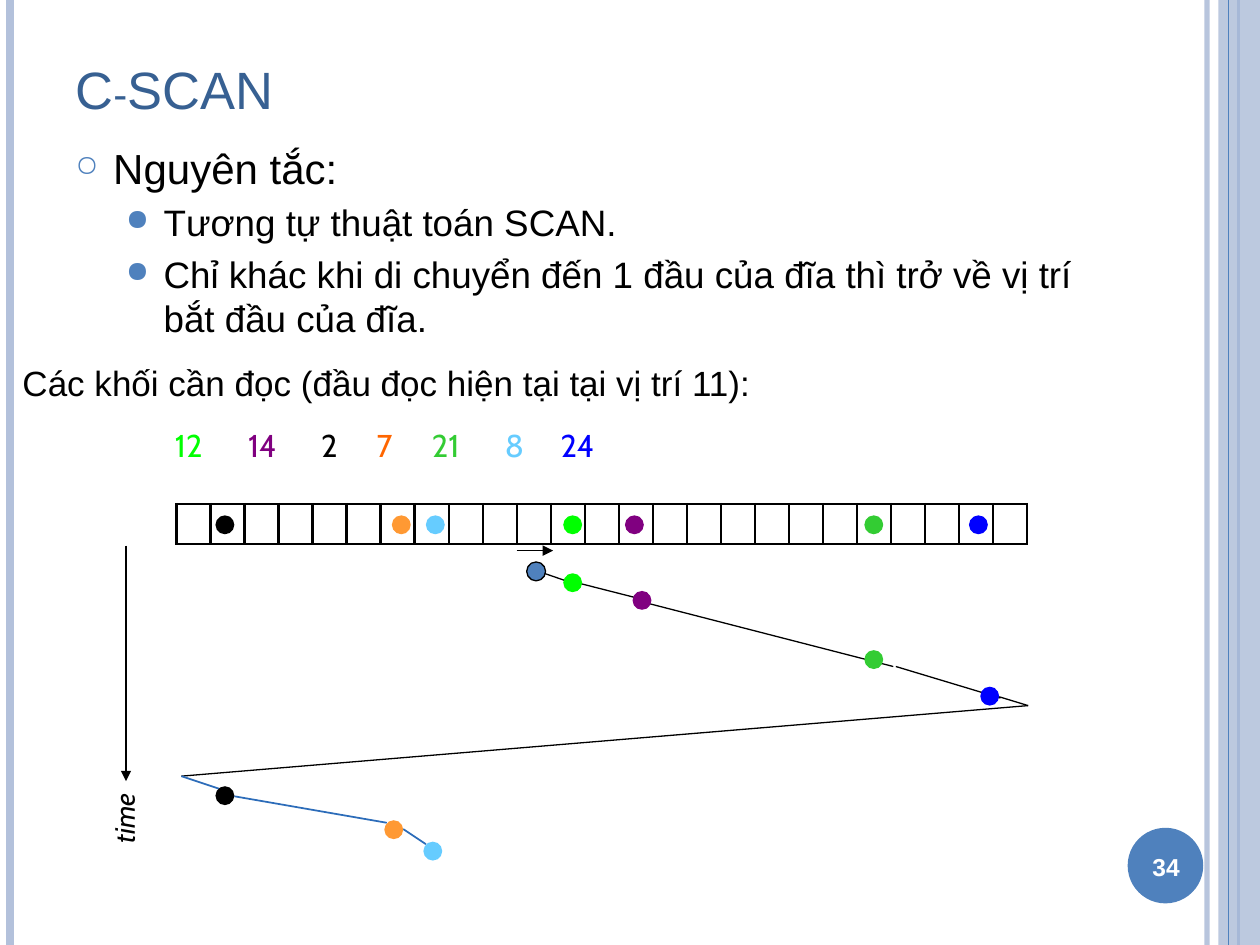
from dataclasses import dataclass

from pptx import Presentation
from pptx.dml.color import RGBColor
from pptx.enum.shapes import MSO_CONNECTOR, MSO_SHAPE
from pptx.enum.text import MSO_ANCHOR, MSO_AUTO_SIZE, PP_ALIGN
from pptx.oxml.ns import qn
from pptx.util import Inches, Pt
from lxml import etree

LINE = MSO_CONNECTOR.STRAIGHT
OVAL, RECT = MSO_SHAPE.OVAL, MSO_SHAPE.RECTANGLE
LEFT, CENTER = PP_ALIGN.LEFT, PP_ALIGN.CENTER
TOP, MIDDLE, BOTTOM = MSO_ANCHOR.TOP, MSO_ANCHOR.MIDDLE, MSO_ANCHOR.BOTTOM


@dataclass(frozen=True)
class Theme:
    sans: str = "Arial"
    label: str = "Cabin"
    title: int = 30
    head: int = 24
    sub: int = 21
    note: int = 20
    block: int = 18
    time: int = 16
    page: int = 14
    dot: float = 0.15
    ink: str = "000000"
    white: str = "FFFFFF"
    navy: str = "376092"
    accent: str = "4F81BD"
    pale: str = "B3C1DB"
    link: str = "2C6CB9"
    lime: str = "00FF00"
    purple: str = "800080"
    red: str = "FF6600"
    orange: str = "FF9933"
    green: str = "33CC33"
    sky: str = "66CCFF"
    blue: str = "0000FF"


def add(parent, tag, **attrs):
    return etree.SubElement(parent, qn(tag), attrs)


def fade(shape, percent):
    """Set the opacity of the first solid colour of a shape."""
    color = next(shape._element.spPr.iter(qn("a:srgbClr")))
    add(color, "a:alpha", val=str(percent * 1000))


class Board:
    """Draws elements on one slide in one style."""

    def __init__(self, slide, theme):
        self.slide, self.theme = slide, theme
        self.shapes = slide.shapes

    def run(self, para, text, size, color, face=None, **form):
        run = para.add_run()
        run.text = text
        form = {"size": Pt(size), "name": face or self.theme.sans, **form}
        for key, value in form.items():
            setattr(run.font, key, value)
        run.font.color.rgb = RGBColor.from_string(color)
        return run

    def title(self, text, box):
        shape = self.shapes.title
        for key, value in zip(("left", "top", "width", "height"), box):
            setattr(shape, key, Inches(value))
        frame = shape.text_frame
        frame.vertical_anchor = BOTTOM
        para = frame.paragraphs[0]
        para.alignment = LEFT
        run = self.run(para, text, self.theme.title, self.theme.navy)
        run.font._element.set("cap", "small")

    def frame(self, box, wrap=True, anchor=TOP, turn=0):
        shape = self.shapes.add_textbox(*map(Inches, box))
        shape.rotation = turn
        frame = shape.text_frame
        fit = MSO_AUTO_SIZE.NONE if wrap else MSO_AUTO_SIZE.SHAPE_TO_FIT_TEXT
        form = {"word_wrap": wrap, "vertical_anchor": anchor, "auto_size": fit}
        for key, value in form.items():
            setattr(frame, key, value)
        return frame

    def text(self, text, box, size, color, face=None, align=LEFT, wrap=False,
             anchor=TOP, turn=0, **form):
        para = self.frame(box, wrap, anchor, turn).paragraphs[0]
        para.alignment = align
        self.run(para, text, size, color, face, **form)

    def bullets(self, items, box):
        """Write (level, text) items as a bulleted list."""
        look = self.theme
        styles = [(look.head, 6, 0.3, "○", 70), (look.sub, 4.2, 0.7, "●", 80)]
        frame = self.frame(box)
        for i, (level, text) in enumerate(items):
            size, gap, indent, mark, scale = styles[level]
            para = frame.add_paragraph() if i else frame.paragraphs[0]
            para.level, para.space_before = level, Pt(gap)
            props = para._p.get_or_add_pPr()
            props.set("marL", str(Inches(indent)))
            props.set("indent", str(Inches(-0.3)))
            add(add(props, "a:buClr"), "a:srgbClr", val=look.accent)
            add(props, "a:buSzPct", val=str(scale * 1000))
            add(props, "a:buChar", char=mark)
            self.run(para, text, size, look.ink)

    def shape(self, kind, box, fill, edge=None):
        shape = self.shapes.add_shape(kind, *map(Inches, box))
        shape.shadow.inherit = False
        shape.fill.solid()
        shape.fill.fore_color.rgb = RGBColor.from_string(fill)
        if edge:
            shape.line.color.rgb = RGBColor.from_string(edge)
            shape.line.width = Pt(0.75)
        else:
            shape.line.fill.background()
        return shape

    def dot(self, x, y, fill, edge=None):
        size = self.theme.dot
        self.shape(OVAL, (x, y, size, size), fill, edge)

    def line(self, ends, color, width=0.75, arrow=False):
        line = self.shapes.add_connector(LINE, *map(Inches, ends))
        line.line.color.rgb = RGBColor.from_string(color)
        line.line.width = Pt(width)
        if arrow:
            add(line.line._get_or_add_ln(), "a:tailEnd", type="triangle")
        add(line._element.spPr, "a:effectLst")
        return line

    def strip(self, count, box):
        """Draw a one-row table of empty, bordered cells."""
        holder = self.shapes.add_table(1, count, *map(Inches, box))
        table = holder.table
        table.first_row = table.horz_banding = False
        for column in table.columns:
            column.width = Inches(box[2] / count)
        for cell in table.iter_cells():
            for side in ("left", "right", "top", "bottom"):
                setattr(cell, f"margin_{side}", 0)
            props = cell._tc.get_or_add_tcPr()
            for side in "LRTB":
                edge = add(props, f"a:ln{side}", w=str(Pt(1.5)))
                fill = add(edge, "a:solidFill")
                add(fill, "a:srgbClr", val=self.theme.ink)
            cell.fill.background()


def frame_page(board):
    look = board.theme
    for x, color, width in ((9.58, look.pale, 3), (0.08, look.pale, 4.5),
                            (9.83, look.accent, 1.5)):
        rule = board.line((x, 0, x, 7.5), color, width)
        if x == 9.58:
            fade(rule, 93)
    fade(board.shape(RECT, (9.67, 0, 0.33, 7.5), look.pale), 87)
    board.line((9.75, 0, 9.75, 7.5), look.accent)
    board.shape(OVAL, (8.95, 6.57, 0.6, 0.6), look.accent)
    board.text("34", (8.92, 6.59, 0.67, 0.57), look.page, look.white,
               align=CENTER, wrap=True, anchor=MIDDLE, bold=True)


def queue(board):
    look = board.theme
    board.text("Các khối cần đọc (đầu đọc hiện tại tại vị trí 11):",
               (0.08, 2.82, 5.98, 0.43), look.note, look.ink)
    x = 1.29
    for block, color in ((12, look.lime), (14, look.purple), (2, look.ink),
                         (7, look.red), (21, look.green), (8, look.sky),
                         (24, look.blue)):
        width = 0.48 if block > 9 else 0.34
        board.text(str(block), (x, 3.33, width, 0.4), look.block, color,
                   look.label)
        x += width + 0.1


def disk(board):
    look = board.theme
    board.strip(25, (1.4, 4, 6.76, 0.32))
    for x, color in ((1.71, look.ink), (3.11, look.orange), (3.38, look.sky),
                     (4.47, look.lime), (4.96, look.purple),
                     (6.86, look.green), (7.69, look.blue)):
        board.dot(x, 4.09, color)


def sweep(board):
    """Draw the path of the head over time."""
    look = board.theme
    board.line((4.1, 4.37, 4.39, 4.37), look.ink, arrow=True)
    board.line((1, 4.33, 1, 6.2), look.ink, arrow=True)
    board.text("time", (0.67, 6.29, 0.63, 0.37), look.time, look.ink,
               look.label, turn=270, italic=True)
    for ends in ((4.26, 4.53, 4.55, 4.63), (4.56, 4.62, 5.11, 4.76),
                 (5.11, 4.78, 7.09, 5.29), (7.11, 5.29, 7.94, 5.54),
                 (7.93, 5.53, 8.16, 5.6), (8.16, 5.6, 1.44, 6.16)):
        board.line(ends, look.ink)
    for ends in ((1.44, 6.16, 1.74, 6.26), (1.86, 6.32, 3.07, 6.53),
                 (3.2, 6.58, 3.38, 6.7)):
        board.line(ends, look.link, 1)
    board.dot(4.18, 4.46, look.accent, look.ink)
    for x, y, color in ((4.47, 4.55, look.lime), (5.02, 4.69, look.purple),
                        (6.86, 5.16, look.green), (7.78, 5.45, look.blue),
                        (1.71, 6.24, look.ink), (3.05, 6.51, look.orange),
                        (3.36, 6.68, look.sky)):
        board.dot(x, y, color)


def main():
    deck = Presentation()
    deck.slide_width, deck.slide_height = Inches(10), Inches(7.5)
    board = Board(deck.slides.add_slide(deck.slide_layouts[5]), Theme())
    frame_page(board)
    board.title("C-SCAN", (0.5, 0.3, 8.42, 0.7))
    board.bullets([
        (0, "Nguyên tắc:"),
        (1, "Tương tự thuật toán SCAN."),
        (1, "Chỉ khác khi di chuyển đến 1 đầu của đĩa thì trở về vị trí "
            "bắt đầu của đĩa."),
    ], (0.5, 1.08, 8.42, 6))
    queue(board)
    disk(board)
    sweep(board)
    deck.save("out.pptx")


if __name__ == "__main__":
    main()
